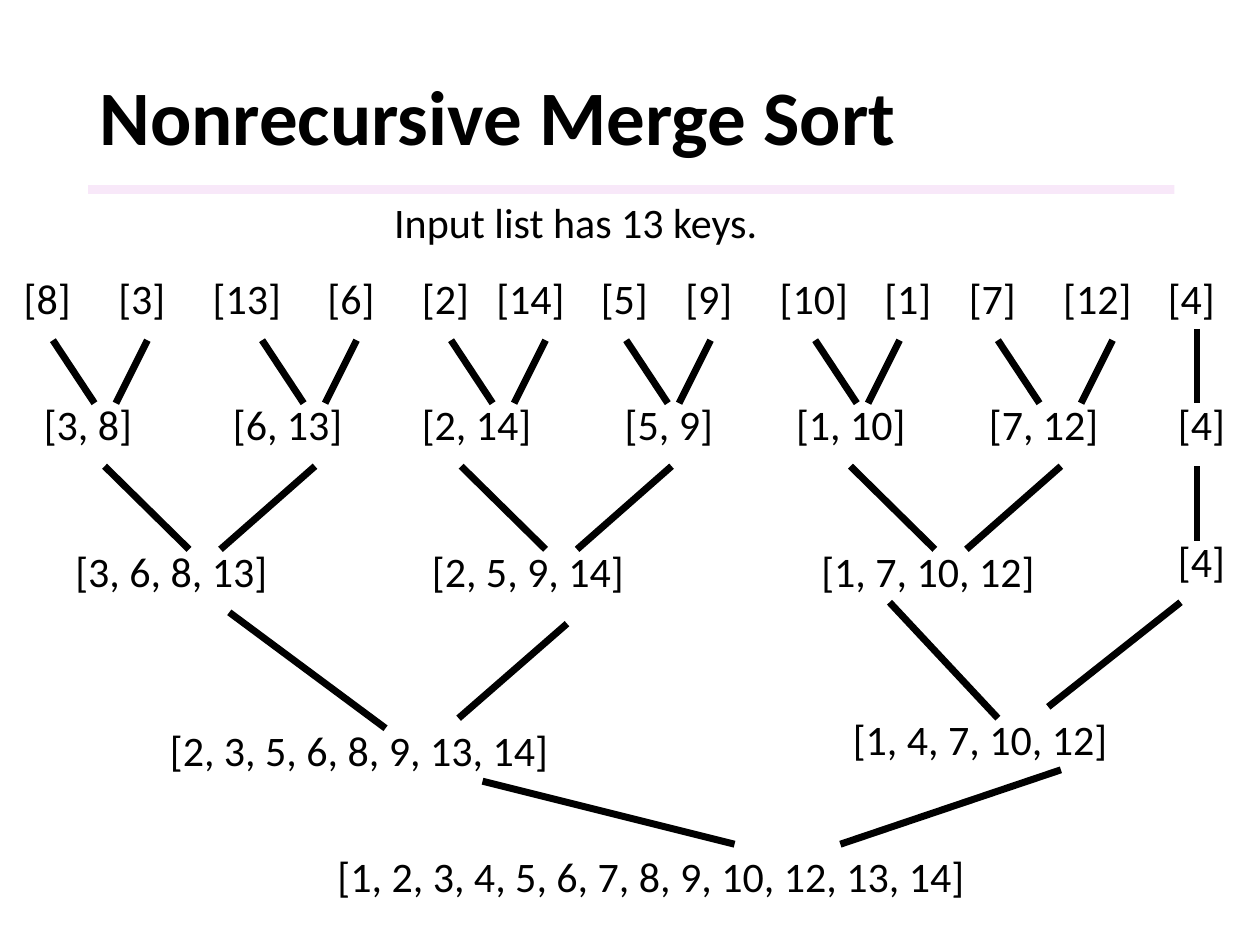
from lxml import etree
from pptx import Presentation
from pptx.dml.color import RGBColor
from pptx.enum.shapes import MSO_CONNECTOR, MSO_SHAPE
from pptx.enum.text import MSO_ANCHOR
from pptx.oxml.ns import qn
from pptx.util import Emu, Pt

LINE = MSO_CONNECTOR.STRAIGHT
RECTANGLE = MSO_SHAPE.RECTANGLE
MIDDLE = MSO_ANCHOR.MIDDLE

PX = 9144  # 100 px to the inch
FONT = "Calibri"
BLACK = "000000"
LILAC = "F3D2F4"
LABEL_HEIGHT = 51

# Keys of the input list: text, left, width
KEYS = [
    ("[8]", 9, 83), ("[3]", 84, 75), ("[13]", 159, 100), ("[6]", 250, 75),
    ("[2]", 325, 75), ("[14]", 384, 108), ("[5]", 467, 83), ("[9]", 534, 75),
    ("[10]", 609, 100), ("[1]", 692, 75), ("[7]", 759, 75), ("[12]", 834, 100),
    ("[4]", 917, 83),
]
# Merged lists: text, left, width, x offsets where the two branches start
PAIRS = [
    ("[3, 8]", 25, 117, 17, 92), ("[6, 13]", 175, 158, 33, 108),
    ("[2, 14]", 325, 150, 33, 108), ("[5, 9]", 486, 117, 11, 78),
    ("[1, 10]", 622, 142, 25, 92), ("[7, 12]", 775, 142, 17, 108),
]
FOURS = [
    ("[3, 6, 8, 13]", 50, 250, 33, 200), ("[2, 5, 9, 14]", 333, 250, 33, 200),
    ("[1, 7, 10, 12]", 642, 250, 33, 200),
]
STEM = [(25, -50, 25, 9)]


def px(length):
    return Emu(length * PX)


def colour(hex_text):
    return RGBColor.from_string(hex_text)


def add_text(shapes, text, box, size=24, bold=False, wrap=True):
    label = shapes.add_textbox(*map(px, box))
    frame = label.text_frame
    frame.word_wrap = wrap
    frame.text = text
    font = frame.paragraphs[0].runs[0].font
    font.name, font.size, font.bold = FONT, Pt(size), bold
    font.color.rgb = colour(BLACK)
    return frame


def add_branch(shapes, start, end):
    branch = shapes.add_connector(LINE, *map(px, start + end))
    branch.line.color.rgb = colour(BLACK)
    branch.line.width = Pt(4)
    etree.SubElement(branch._element.spPr, qn("a:effectLst"))


def add_header(page, box):
    """Title, the translucent rule under it and the caption."""
    left, top, width, height = box
    title = add_text(page.shapes, "Nonrecursive Merge Sort", box, 44, True)
    title.vertical_anchor = MIDDLE
    title.paragraphs[0].line_spacing = 0.9

    rule = page.shapes.add_shape(RECTANGLE, *map(px, (left + 1, top + 107, width, 7)))
    rule.shadow.inherit = False
    rule.fill.solid()
    rule.fill.fore_color.rgb = colour(LILAC)
    rule.line.fill.background()
    tint = rule._element.spPr.find(qn("a:solidFill"))[0]
    etree.SubElement(tint, qn("a:alpha"), val="50000")

    caption = (left + 234, top + height, 311, 50)
    add_text(page.shapes, "Input list has 13 keys.", caption, wrap=False)


def add_keys(page, top):
    group = page.shapes.add_group_shape()
    for text, left, width in KEYS:
        add_text(group.shapes, text, (left, top, width, LABEL_HEIGHT))


def add_node(page, text, left, top, width, branches):
    """A merged list with its branches, given as offsets from its box."""
    group = page.shapes.add_group_shape()
    add_text(group.shapes, text, (left, top, width, LABEL_HEIGHT))
    for x1, y1, x2, y2 in branches:
        add_branch(group.shapes, (left + x1, top + y1), (left + x2, top + y2))


def add_level(page, nodes, top, rise, drop, left_run, right_run):
    """A row of nodes whose branches all have the same slopes."""
    for text, left, width, first, second in nodes:
        branches = [(first, -rise, first + left_run, drop),
                    (second, -rise, second - right_run, drop)]
        add_node(page, text, left, top, width, branches)


def add_merge_tree(page):
    add_keys(page, 211)
    add_level(page, PAIRS, 311, rise=41, drop=9, left_run=33, right_run=25)
    add_node(page, "[4]", 925, 311, 75, STEM)
    add_level(page, FOURS, 428, rise=58, drop=8, left_run=67, right_run=75)
    add_node(page, "[4]", 925, 420, 75, STEM)
    add_node(page, "[2, 3, 5, 6, 8, 9, 13, 14]", 125, 570, 458,
             [(57, -84, 181, 8), (325, -75, 239, 0)])
    add_node(page, "[1, 4, 7, 10, 12]", 667, 561, 317,
             [(39, -83, 125, 9), (270, -83, 165, 0)])
    add_node(page, "[1, 2, 3, 4, 5, 6, 7, 8, 9, 10, 12, 13, 14]", 258, 670, 742,
             [(125, -50, 325, 0), (584, -59, 409, 0)])


def main():
    deck = Presentation()
    deck.slide_width, deck.slide_height = px(1000), px(750)
    page = deck.slides.add_slide(deck.slide_layouts[6])
    add_header(page, (69, 40, 862, 111))
    add_merge_tree(page)
    deck.save("out.pptx")


if __name__ == "__main__":
    main()
